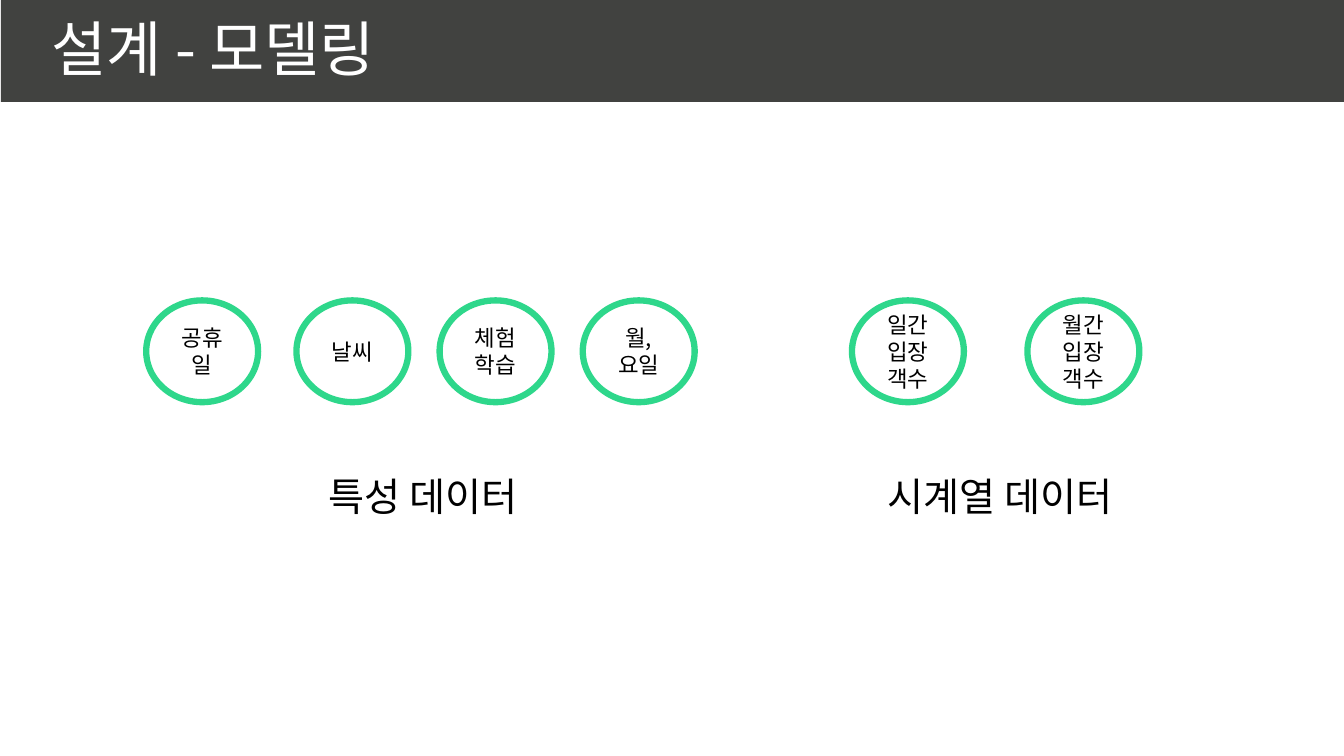
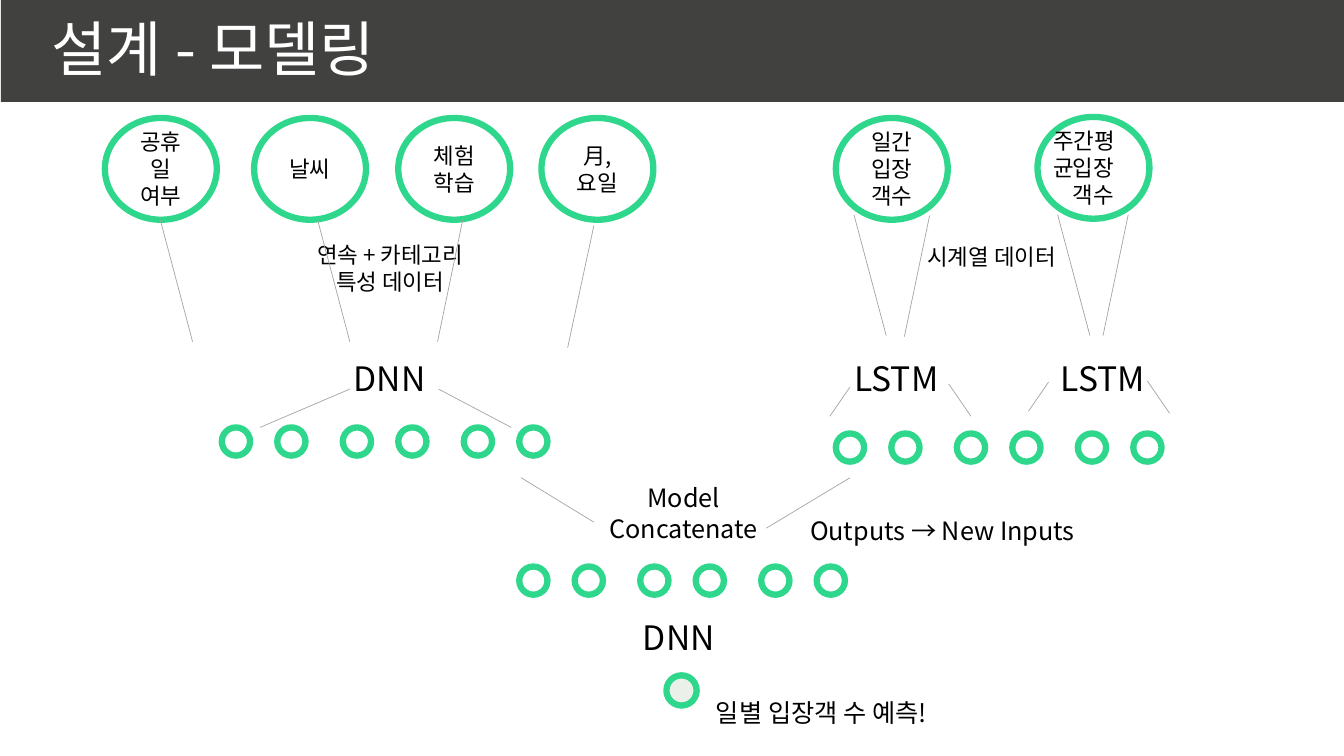
"""Build two slides on the modelling design: input data and network structure."""
from lxml import etree
from pptx import Presentation
from pptx.dml.color import RGBColor
from pptx.enum import shapes, text
from pptx.oxml import ns
from pptx.util import Inches, Pt

FONT = "Noto Sans CJK KR"
BAND = RGBColor(0x41, 0x42, 0x40)
GREEN = RGBColor(0x2E, 0xD7, 0x8B)
GRAY = RGBColor(0xA5, 0xA5, 0xA5)
PALE = RGBColor(0xEB, 0xF1, 0xE9)
WHITE = RGBColor(0xFF, 0xFF, 0xFF)
BLACK = RGBColor(0, 0, 0)
CENTER, LEFT = text.PP_ALIGN.CENTER, text.PP_ALIGN.LEFT
TOP, MIDDLE = text.MSO_ANCHOR.TOP, text.MSO_ANCHOR.MIDDLE


def write(sp, lines, size, color=BLACK, align=CENTER, anchor=TOP, spacing=None):
    tf = sp.text_frame
    for name, value in {"word_wrap": True, "vertical_anchor": anchor}.items():
        setattr(tf, name, value)
    for i, line in enumerate(lines.split("\n")):
        p = tf.paragraphs[0] if i == 0 else tf.add_paragraph()
        for name, value in {"alignment": align, "line_spacing": spacing}.items():
            setattr(p, name, value)
        r = p.add_run()
        r.text = line
        for name, value in {"name": FONT, "size": Pt(size)}.items():
            setattr(r.font, name, value)
        r.font.color.rgb = color
        etree.SubElement(r.font._element, ns.qn("a:ea"), typeface=FONT)


def circle(s, x, y, w, h, fill=WHITE):
    sp = s.shapes.add_shape(shapes.MSO_SHAPE.OVAL, Inches(x), Inches(y), Inches(w), Inches(h))
    sp.shadow.inherit = False
    sp.fill.solid()
    sp.fill.fore_color.rgb = fill
    sp.line.color.rgb = GREEN
    sp.line.width = Pt(4.5)
    return sp


INPUTS = [
    [(1.45, 2.98, "공휴일"), (2.94, 2.98, "날씨"), (4.36, 2.98, "체험\n학습"),
     (5.78, 2.98, "월,\n요일"), (8.45, 2.98, "일간\n입장객수"), (10.19, 2.98, "월간\n입장객수")],
    [(1.04, 1.17, "공휴일\n여부"), (2.52, 1.17, "날씨"), (3.95, 1.17, "체험\n학습"),
     (5.37, 1.17, "月,\n요일"), (8.29, 1.17, "일간\n입장객수"), (10.29, 1.16, "입장객수")],
]
LABELS = [
    [(8.37, 4.64, 3.09, 0.57, 28, "시계열 데이터"), (1.88, 4.64, 4.63, 0.57, 28, "특성 데이터")],
    [(8.29, 2.36, 3.09, 0.37, 16, "시계열 데이터"),
     (2.14, 2.34, 3.46, 0.64, 16, "연속 + 카테고리\n특성 데이터"),
     (3.34, 3.5, 1.12, 0.5, 24, "DNN "),
     (8.33, 3.5, 1.12, 0.5, 24, "LSTM"),
     (10.38, 3.5, 1.12, 0.5, 24, "LSTM"),
     (5.89, 4.74, 1.78, 0.71, 18, "Model\nConcatenate"),
     (6.21, 6.07, 1.12, 0.5, 24, "DNN "),
     (7, 6.87, 2.21, 0.4, 18, "일별 입장객 수 예측!"),
     (7.83, 5.06, 3.09, 0.4, 18, "Outputs → New Inputs ")],
]
LINKS = [
    (1.59, 2.18, 1.91, 3.39), (3.15, 2.18, 3.47, 3.39), (4.59, 2.18, 4.34, 3.39),
    (5.89, 2.24, 5.63, 3.45), (8.47, 2.13, 8.79, 3.33), (9.22, 2.14, 8.97, 3.34),
    (10.49, 2.13, 10.81, 3.33), (11.19, 2.13, 10.94, 3.33),
    (3.47, 3.86, 2.58, 4.24), (4.35, 3.86, 5.07, 4.24),
    (8.43, 3.84, 8.23, 4.13), (9.41, 3.81, 9.63, 4.13),
    (10.4, 3.79, 10.2, 4.08), (11.38, 3.78, 11.6, 4.1),
    (5.17, 4.74, 5.89, 5.18), (8.43, 4.74, 7.6, 5.24),
]
NODE_ROWS = [(2.2, 4.24), (8.29, 4.3), (5.15, 5.62)]
NODE, PAIR_STEP, NODE_STEP = 0.28, 1.2, 0.55

prs = Presentation()
prs.slide_width, prs.slide_height = Inches(13.33), Inches(7.5)

for inputs, labels in zip(INPUTS, LABELS):
    s = prs.slides.add_slide(prs.slide_layouts[6])
    band = s.shapes.add_shape(shapes.MSO_SHAPE.RECTANGLE, Inches(0.01), 0, Inches(13.36), Inches(1.01))
    band.shadow.inherit = False
    band.fill.solid()
    band.fill.fore_color.rgb = BAND
    band.line.fill.background()
    title = s.shapes.add_textbox(Inches(0.41), Inches(0.18), Inches(10.63), Inches(0.72))
    write(title, "설계 - 모델링", 42.9, WHITE, LEFT, MIDDLE, 0.8)
    for x, y, label in inputs:
        sp = circle(s, x, y, 1.11, 1.01)
        write(sp, label, 16, anchor=MIDDLE)
    for x, y, w, h, size, label in labels:
        write(s.shapes.add_textbox(Inches(x), Inches(y), Inches(w), Inches(h)), label, size)

sp.text_frame.margin_top = Inches(0.32)
weekly = s.shapes.add_textbox(Inches(10.35), Inches(1.21), Inches(1), Inches(0.37))
write(weekly, "주간평균", 16, align=LEFT)

for x1, y1, x2, y2 in LINKS:
    link = s.shapes.add_connector(
        shapes.MSO_CONNECTOR.STRAIGHT, Inches(x1), Inches(y1), Inches(x2), Inches(y2))
    link.line.color.rgb = GRAY
    link.line.width = Pt(0.5)
    etree.SubElement(link._element.spPr, ns.qn("a:effectLst"))

for x, y in NODE_ROWS:
    for i in range(6):
        circle(s, x + i // 2 * PAIR_STEP + i % 2 * NODE_STEP, y, NODE, NODE)
circle(s, 6.61, 6.7, 0.3, 0.3, PALE)

prs.save("out.pptx")
